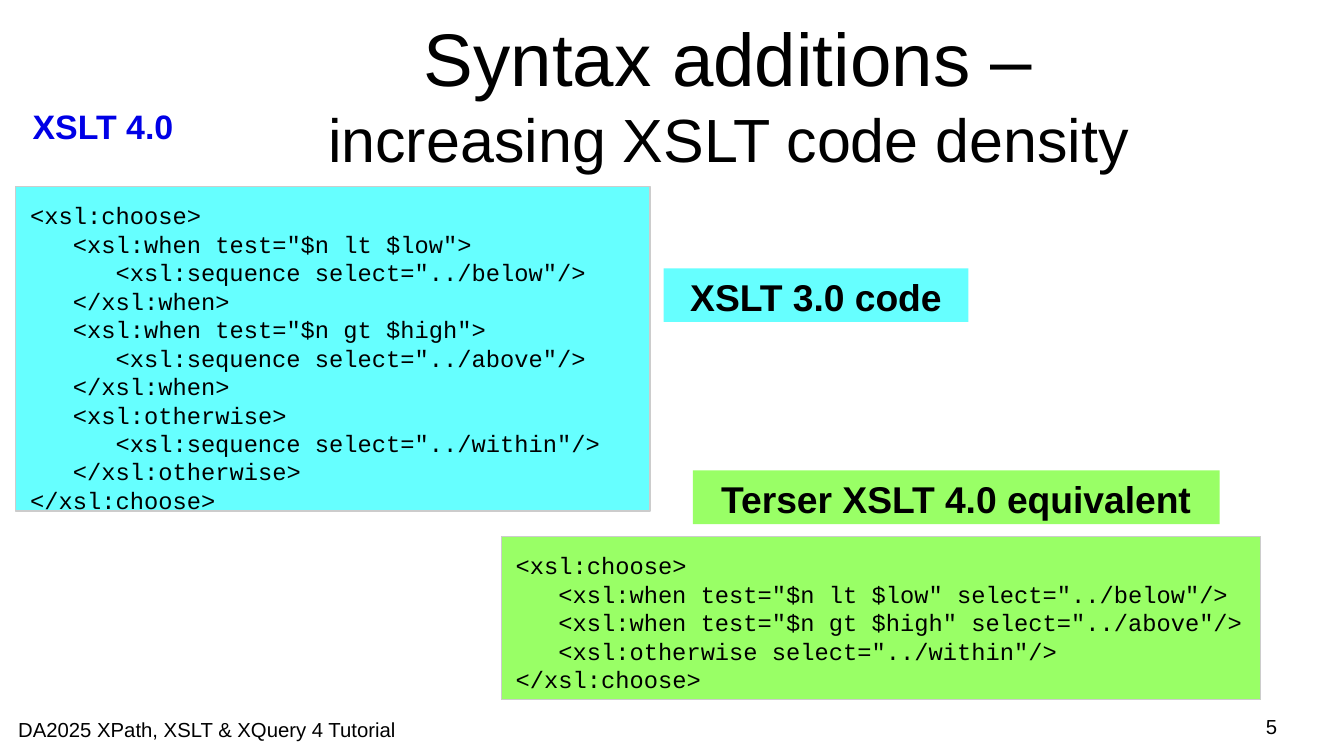
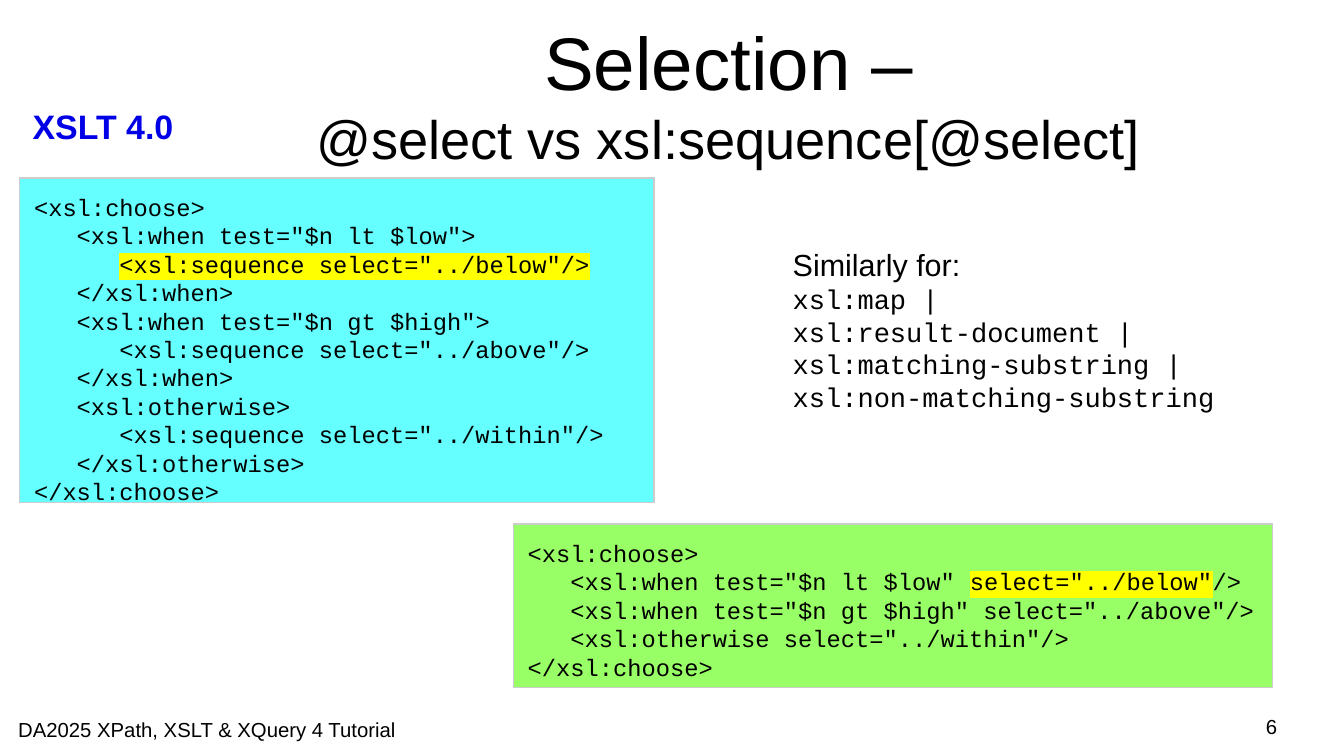
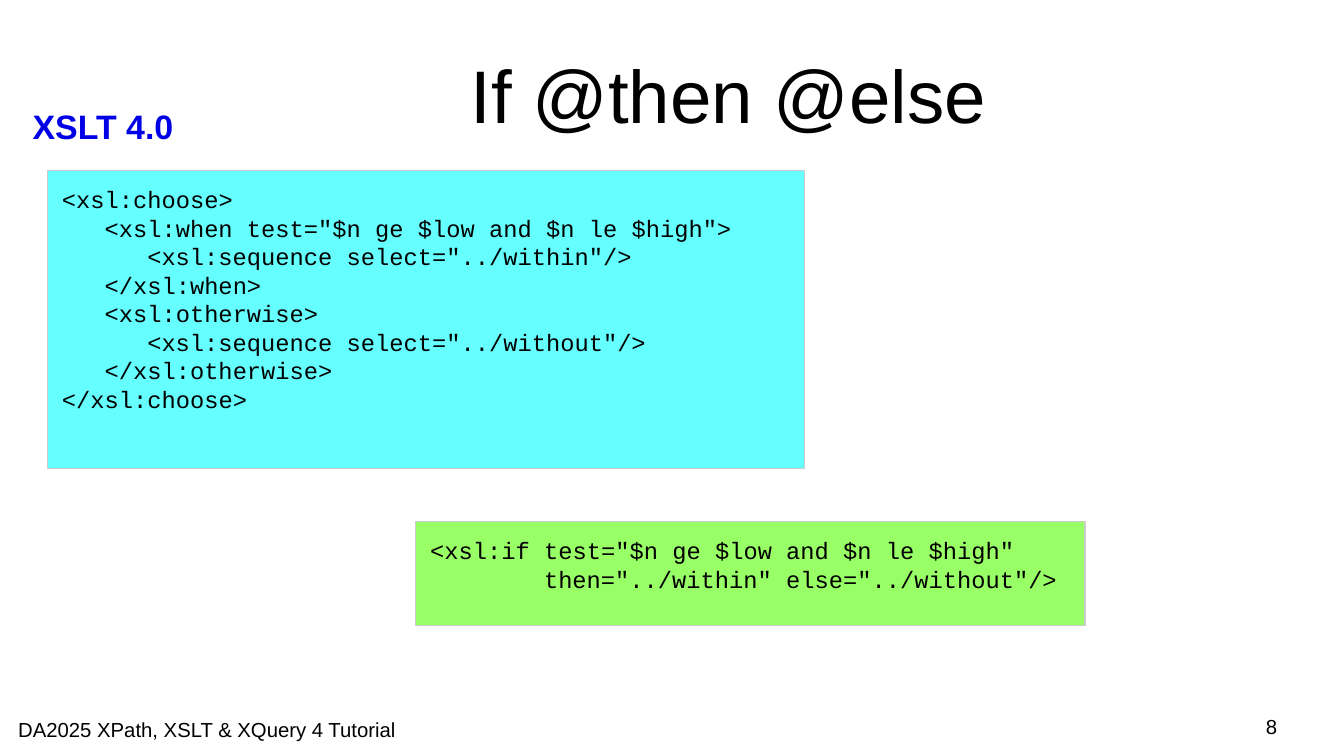
from pptx import Presentation
from pptx import util as u
from pptx.dml.color import RGBColor
from pptx.enum import shapes, text
from pptx.oxml import parse_xml
from pptx.oxml.ns import nsdecls, qn

SANS, MONO = "Arial", "Courier New"
BLACK, BLUE, CYAN, GREEN, GREY, YELLOW = "000000", "0000E6", "66FFFF", "99FF66", "CCCCCC", "FFFF00"
CODE_SIZE = 14
CHAR_WIDTH = 0.6
CENTER, RIGHT = text.PP_ALIGN.CENTER, text.PP_ALIGN.RIGHT

VERBOSE = """<xsl:choose>
   <xsl:when test="$n lt $low">
      <xsl:sequence select="../below"/>
   </xsl:when>
   <xsl:when test="$n gt $high">
      <xsl:sequence select="../above"/>
   </xsl:when>
   <xsl:otherwise>
      <xsl:sequence select="../within"/>
   </xsl:otherwise>
</xsl:choose>"""

TERSE = """<xsl:choose>
   <xsl:when test="$n lt $low" select="../below"/>
   <xsl:when test="$n gt $high" select="../above"/>
   <xsl:otherwise select="../within"/>
</xsl:choose>"""

RANGE_CHOOSE = """<xsl:choose>
   <xsl:when test="$n ge $low and $n le $high">
      <xsl:sequence select="../within"/>
   </xsl:when>
   <xsl:otherwise>
      <xsl:sequence select="../without"/>
   </xsl:otherwise>
</xsl:choose>"""

RANGE_IF = """<xsl:if test="$n ge $low and $n le $high"
        then="../within" else="../without"/>"""


def rgb(value):
    return RGBColor.from_string(value)


class Deck:
    """Tutorial slides: the shared style and the slide being built."""

    def __init__(self):
        self.prs = Presentation()
        self.prs.slide_width, self.prs.slide_height = u.Cm(27.99), u.Cm(15.75)
        self.s = None

    def slide(self, number, *title):
        self.s = self.prs.slides.add_slide(self.prs.slide_layouts[6])
        tf = self.textbox((3.76, 0.4, 22.83, 3.1), anchor=text.MSO_ANCHOR.MIDDLE)
        for line, size in title:
            self.run(self.paragraph(tf, CENTER), line, size=size)
        self.label((0.43, 2.08, 3.51, 1.04), "XSLT 4.0", (0.25, 0.13), size=20, bold=True, color=BLUE)
        self.label((0.38, 14.94, 8.86, 0.48), "DA2025 XPath, XSLT & XQuery 4 Tutorial", size=12)
        self.label((20.07, 14.88, 6.53, 0.61), str(number), align=RIGHT, size=12)

    def frame(self, sp, inset=(0, 0), anchor=text.MSO_ANCHOR.TOP):
        x, y = map(u.Cm, inset)
        style = {"word_wrap": True, "auto_size": text.MSO_AUTO_SIZE.NONE, "vertical_anchor": anchor,
                 "margin_left": x, "margin_right": x, "margin_top": y, "margin_bottom": y}
        for name, value in style.items():
            setattr(sp.text_frame, name, value)
        return sp.text_frame

    def textbox(self, at, inset=(0, 0), anchor=text.MSO_ANCHOR.TOP):
        return self.frame(self.s.shapes.add_textbox(*map(u.Cm, at)), inset, anchor)

    def panel(self, at, fill, inset, line=None):
        sp = self.s.shapes.add_shape(shapes.MSO_SHAPE.RECTANGLE, *map(u.Cm, at))
        sp.shadow.inherit = False
        sp.fill.solid()
        sp.fill.fore_color.rgb = rgb(fill)
        if line:
            sp.line.color.rgb = rgb(line)
            sp.line.width = 0
        else:
            sp.line.fill.background()
        return self.frame(sp, inset)

    def paragraph(self, tf, align=text.PP_ALIGN.LEFT):
        p = tf.paragraphs[0] if not tf.paragraphs[0].runs else tf.add_paragraph()
        p.alignment = align
        return p

    def run(self, p, words, size=18, name=SANS, bold=False, color=BLACK, highlight=None):
        r = p.add_run()
        r.text = words
        for key, value in {"size": u.Pt(size), "name": name, "bold": bold}.items():
            setattr(r.font, key, value)
        r.font.color.rgb = rgb(color)
        if highlight:
            r._r.get_or_add_rPr().find(qn("a:solidFill")).addnext(parse_xml(
                f'<a:highlight {nsdecls("a")}><a:srgbClr val="{highlight}"/></a:highlight>'))

    def label(self, at, words, inset=(0, 0), align=text.PP_ALIGN.LEFT, **font):
        self.run(self.paragraph(self.textbox(at, inset), align), words, **font)

    def tag(self, at, words, fill):
        tf = self.panel(at, fill, (0.25, 0.13))
        self.run(self.paragraph(tf, CENTER), words, size=22, bold=True)

    def code(self, at, source, fill, mark=None):
        tf = self.panel(at, fill, (0.3, 0.3), GREY)
        for line in source.splitlines():
            words = line.lstrip()
            p = self.paragraph(tf)
            indent = u.Pt((len(line) - len(words)) * CODE_SIZE * CHAR_WIDTH)
            p._p.get_or_add_pPr().set("marL", str(indent))
            before, marked, after = words.partition(mark) if mark else (words, "", "")
            for part, highlight in ((before, None), (marked, YELLOW), (after, None)):
                if part:
                    self.run(p, part, CODE_SIZE, MONO, highlight=highlight)

    def elements(self, at, heading, *names):
        tf = self.textbox(at, (0.25, 0.13))
        self.run(self.paragraph(tf), heading)
        for name in names:
            self.run(self.paragraph(tf), name, 16, MONO)


def main():
    deck = Deck()

    deck.slide(5, ("Syntax additions –", 44), ("increasing XSLT code density", 36))
    deck.code((0.33, 3.89, 13.21, 6.76), VERBOSE, CYAN)
    deck.code((10.44, 11.18, 15.82, 3.4), TERSE, GREEN)
    deck.tag((13.82, 5.59, 6.35, 1.12), "XSLT 3.0 code", CYAN)
    deck.tag((14.43, 9.8, 10.97, 1.12), "Terser XSLT 4.0 equivalent", GREEN)

    deck.slide(6, ("Selection –", 44), ("@select vs xsl:sequence[@select]", 32))
    deck.code((0.41, 3.71, 13.21, 6.76), VERBOSE, CYAN, '<xsl:sequence select="../below"/>')
    deck.code((10.69, 10.92, 15.82, 3.4), TERSE, GREEN, 'select="../below"')
    deck.elements((16.26, 5, 9.35, 4.9), "Similarly for:", "xsl:map |", "xsl:result-document |",
                  "xsl:matching-substring | xsl:non-matching-substring")

    deck.slide(8, ("If @then @else", 44))
    deck.code((0.99, 3.56, 15.77, 6.2), RANGE_CHOOSE, CYAN)
    deck.code((8.66, 10.87, 13.94, 2.16), RANGE_IF, GREEN)

    deck.prs.save("out.pptx")


if __name__ == "__main__":
    main()
